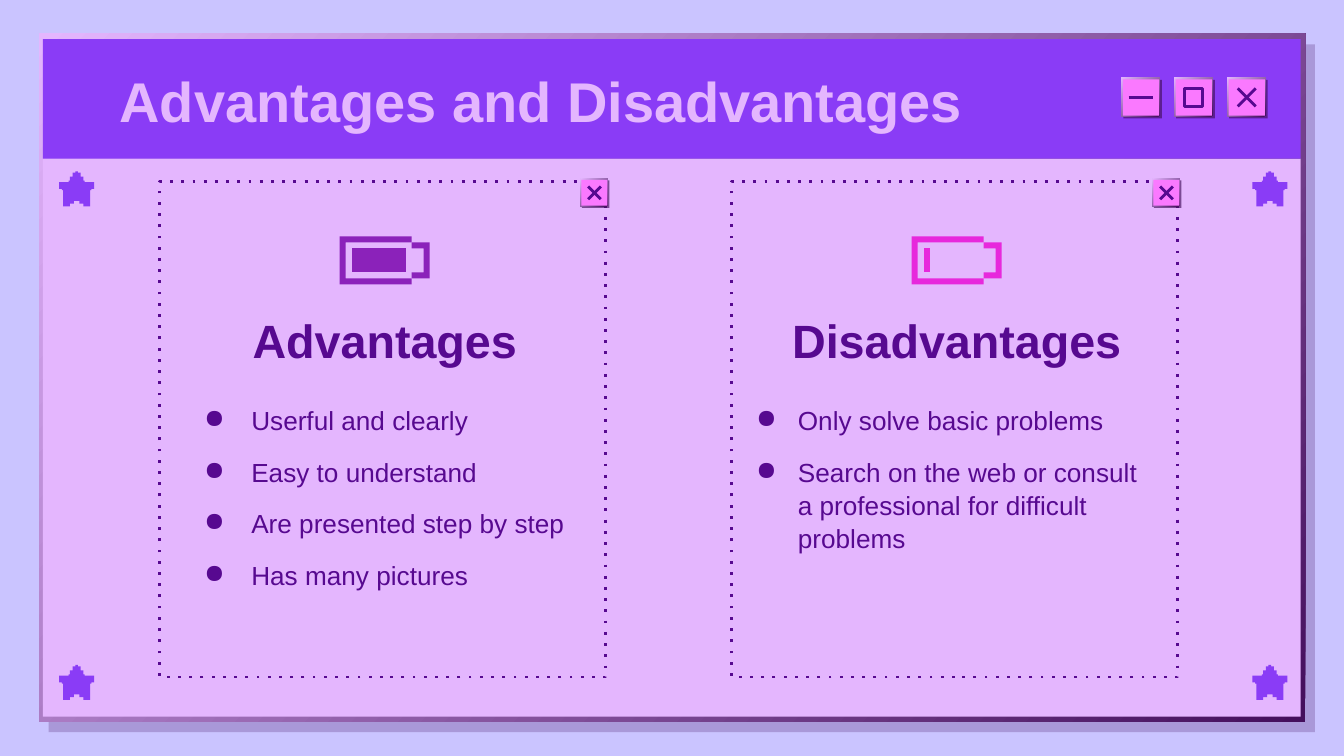
from itertools import product

from lxml import etree
from pptx import Presentation
from pptx.dml.color import RGBColor
from pptx.enum.dml import MSO_LINE
from pptx.enum.shapes import MSO_CONNECTOR, MSO_SHAPE
from pptx.enum.text import MSO_ANCHOR, PP_ALIGN
from pptx.oxml.ns import qn
from pptx.util import Cm, Pt

RECTANGLE, STRAIGHT = MSO_SHAPE.RECTANGLE, MSO_CONNECTOR.STRAIGHT
DOTTED = MSO_LINE.ROUND_DOT
TOP, MIDDLE = MSO_ANCHOR.TOP, MSO_ANCHOR.MIDDLE
LEFT, CENTER = PP_ALIGN.LEFT, PP_ALIGN.CENTER

SKY = RGBColor(0xCA, 0xC4, 0xFF)
LILAC = RGBColor(0xE4, 0xB6, 0xFE)
VIOLET = RGBColor(0x8A, 0x3C, 0xF6)
PINK = RGBColor(0xFA, 0x79, 0xFF)
INK = RGBColor(0x57, 0x09, 0x90)
SHADE = RGBColor(0x44, 0x0F, 0x5C)
PURPLE = RGBColor(0x8B, 0x22, 0xBA)
MAGENTA = RGBColor(0xE7, 0x28, 0xDC)

# Content
TITLE = "Advantages and Disadvantages"
CARDS = [
    {"heading": "Advantages", "color": PURPLE, "charge": 9, "indent": 1.27,
     "points": ["Userful and clearly", "Easy to understand",
                "Are presented step by step", "Has many pictures"]},
    {"heading": "Disadvantages", "color": MAGENTA, "charge": 1, "indent": 0.79,
     "points": ["Only solve basic problems",
                "Search on the web or consult a professional for difficult problems"]},
]
WINDOW_BUTTONS = ["minimize", "maximize", "close"]

# Text formats
TITLE_FONT = {"name": "Arial", "size": Pt(30), "bold": True}
HEADING_FONT = {"name": "Arial", "size": Pt(25), "bold": True}
POINT_FONT = {"name": "Arial", "size": Pt(14), "bold": False}

# Layout in centimetres
WINDOW = (0.74, 0.64, 23.93, 13.0)
TITLE_BAR = (0.81, 0.74, 23.77, 2.26)
PANEL = (0.81, 3.0, 23.77, 10.55)
BUTTON_X, BUTTON_Y, BUTTON_PITCH = 21.19, 1.47, 1.0
CARD_X, CARD_Y, CARD_W, CARD_H, CARD_PITCH = 3.02, 3.43, 8.43, 9.37, 10.81
STAR_XS, STAR_YS, STAR_SIZE = (1.12, 23.67), (3.24, 12.57), 0.66
BATTERY_W = 1.7

# Pixel outlines: a battery 15 units wide, a star 26 units wide
BATTERY_BODY = [(0, 0), (0, 8), (12, 8), (12, 7), (1, 7), (1, 1), (12, 1), (12, 0)]
BATTERY_CAP = [(12, 1), (12, 2), (14, 2), (14, 6), (12, 6), (12, 7), (15, 7), (15, 1)]
STAR_HALF = [(12, 0), (12, 1), (10, 1), (10, 4), (8, 4), (8, 7), (7, 7), (7, 8),
             (0, 8), (0, 13), (2, 13), (2, 14), (3, 14), (3, 26), (8, 26),
             (8, 24), (11, 24), (11, 22)]
STAR = STAR_HALF + [(26 - x, y) for x, y in reversed(STAR_HALF)]

prs = Presentation()
prs.slide_width, prs.slide_height = Cm(25.4), Cm(14.29)
slide = prs.slides.add_slide(prs.slide_layouts[6])
slide.background.fill.solid()
slide.background.fill.fore_color.rgb = SKY
shapes = slide.shapes


def paint(shape, color, opacity=None):
    shape.shadow.inherit = False
    shape.line.fill.background()
    shape.fill.solid()
    shape.fill.fore_color.rgb = color
    if opacity:
        tint = shape._element.spPr.find(".//" + qn("a:srgbClr"))
        etree.SubElement(tint, qn("a:alpha")).set("val", str(opacity * 1000))


def box(x, y, w, h, color, opacity=None):
    shape = shapes.add_shape(RECTANGLE, Cm(x), Cm(y), Cm(w), Cm(h))
    paint(shape, color, opacity)
    return shape


def bevel(x, y, w, h):
    """A box shaded from light at top left to dark at bottom right."""
    fill = box(x, y, w, h, LILAC).fill
    fill.gradient()
    fill.gradient_angle = 135
    for stop, color in zip(fill.gradient_stops, (SHADE, LILAC)):
        stop.color.rgb = color


def outline(shape):
    shape.line.color.rgb = INK
    shape.line.width = Pt(1.5)


def stroke(x1, y1, x2, y2):
    line = shapes.add_connector(STRAIGHT, Cm(x1), Cm(y1), Cm(x2), Cm(y2))
    outline(line)
    etree.SubElement(line._element.spPr, qn("a:effectLst"))


def button(x, y, size, rim, glyph, kind):
    """A raised square button with its sign centred on the face."""
    drop = rim + 0.01
    box(x + drop, y + drop, size, size, SHADE, 65)
    bevel(x, y, size, size)
    face = size - rim * 1.5
    box(x + rim, y + rim, face, face, PINK)
    cx, cy, r = x + rim + face / 2, y + rim + face / 2, glyph / 2
    if kind == "minimize":
        stroke(cx - 0.23, cy, cx + 0.23, cy)
    elif kind == "maximize":
        square = box(cx - r, cy - r, glyph, glyph, PINK)
        square.fill.background()
        outline(square)
    else:
        for side in (r, -r):
            stroke(cx + r, cy - side, cx - r, cy + side)


def pixel_art(points, x, y, unit, color):
    builder = shapes.build_freeform(*points[0], scale=Cm(unit))
    builder.add_line_segments(points[1:])
    paint(builder.convert_to_shape(Cm(x), Cm(y)), color)


def text(x, y, w, h, lines, font, color, align=LEFT, anchor=TOP):
    frame = shapes.add_textbox(Cm(x), Cm(y), Cm(w), Cm(h)).text_frame
    layout = {"word_wrap": True, "vertical_anchor": anchor}
    layout.update(dict.fromkeys(
        ("margin_left", "margin_right", "margin_top", "margin_bottom"), Cm(0.25)))
    for name, value in layout.items():
        setattr(frame, name, value)
    frame.text = "\n".join(lines)
    for paragraph in frame.paragraphs:
        paragraph.alignment = align
        run_font = paragraph.runs[0].font
        run_font.color.rgb = color
        for name, value in font.items():
            setattr(run_font, name, value)
    return frame.paragraphs


def bullet(paragraphs, indent):
    for i, paragraph in enumerate(paragraphs):
        paragraph.line_spacing = 1.05
        paragraph.space_before = Pt(10 if i else 0)
        props = paragraph._p.get_or_add_pPr()
        props.set("marL", str(Cm(indent)))
        props.set("indent", str(-Cm(0.89)))
        etree.SubElement(props, qn("a:buChar")).set("char", "●")


# Window with its shadow, panel and title bar
left, top, width, height = WINDOW
box(left + 0.18, top + 0.2, width, height, SHADE, 24)
bevel(*WINDOW)
box(*PANEL, LILAC)
box(*TITLE_BAR, VIOLET)
for i, kind in enumerate(WINDOW_BUTTONS):
    button(BUTTON_X + i * BUTTON_PITCH, BUTTON_Y, 0.73, 0.03, 0.34, kind)
text(2.01, 1.09, 16.92, 1.6, [TITLE], TITLE_FONT, LILAC, anchor=MIDDLE)

# Cards
for i, card in enumerate(CARDS):
    x = CARD_X + i * CARD_PITCH
    frame = box(x, CARD_Y, CARD_W, CARD_H, LILAC)
    outline(frame)
    frame.line.dash_style = DOTTED
    frame._element.spPr.find(".//" + qn("a:prstDash")).set("val", "dot")
    button(x + 7.95, CARD_Y - 0.05, 0.52, 0.02, 0.24, "close")

    text(x + 0.21, 5.64, 8.08, 1.42, [card["heading"]], HEADING_FONT, INK, CENTER)
    bullet(text(x + 0.21, 7.37, 8.08, 4.47, card["points"], POINT_FONT, INK),
           card["indent"])

    end = 2 + card["charge"]
    charge = [(2, 2), (2, 6), (end, 6), (end, 2)]
    for part in (BATTERY_BODY, charge, BATTERY_CAP):
        pixel_art(part, x + 3.4, 4.47, BATTERY_W / 15, card["color"])

# Corner stars
for x, y in product(STAR_XS, STAR_YS):
    pixel_art(STAR, x, y, STAR_SIZE / 26, VIOLET)

prs.save("out.pptx")
